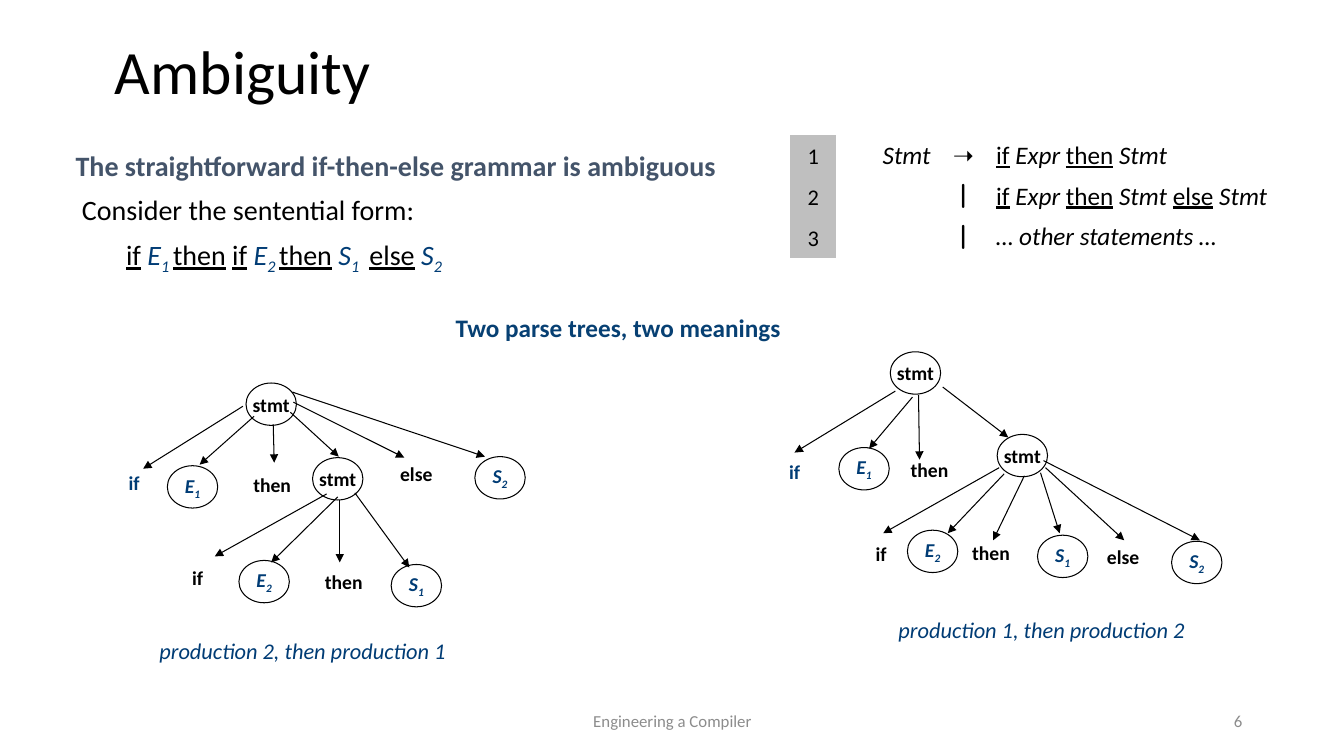
from lxml import etree
from pptx import Presentation
from pptx.dml.color import RGBColor
from pptx.enum.shapes import MSO_CONNECTOR, MSO_SHAPE
from pptx.enum.text import MSO_ANCHOR, MSO_AUTO_SIZE, PP_ALIGN
from pptx.oxml.ns import qn
from pptx.util import Inches, Pt

LEFT, CENTER, RIGHT = PP_ALIGN.LEFT, PP_ALIGN.CENTER, PP_ALIGN.RIGHT
MIDDLE, BOTTOM = MSO_ANCHOR.MIDDLE, MSO_ANCHOR.BOTTOM
NO_FIT = MSO_AUTO_SIZE.NONE
ELLIPSE, STRAIGHT = MSO_SHAPE.OVAL, MSO_CONNECTOR.STRAIGHT
COLORS = {"black": "000000", "navy": "003C75", "slate": "44546A",
          "teal": "074073", "gray": "8C8C8C", "band": "BFBFBF"}
CELL = Inches(0.1)  # the grid has ten cells to the inch
NODE = (5, 4.2)
NO_TABLE_STYLE = "{2D5ABB26-0587-4C30-8999-92F81FD0307C}"

# Run marks: u underline, i italic, s subscript, n navy
IF, THEN, ELSE, GAP = ("if", "u"), ("then", "u"), ("else", "u"), (" ", "")
EXPR, STMT = ("Expr ", "i"), ("Stmt", "i")
SENTENCE = [IF, GAP, ("E", "in"), ("1 ", "ins"), THEN, GAP,
            IF, GAP, ("E", "in"), ("2 ", "ins"), THEN, GAP,
            ("S", "in"), ("1 ", "ins"), GAP, ELSE, GAP,
            ("S", "in"), ("2", "ins")]
SHORT_IF = [IF, GAP, EXPR, THEN, GAP, STMT]
GRAMMAR = [("1", [STMT], "➝", SHORT_IF),
           ("2", "", "|", SHORT_IF + [GAP, ELSE, GAP, STMT]),
           ("3", "", "|", [("… other statements …", "i")])]

# Trees: nodes are (label, left, top), arrows are (x1, y1, x2, y2), in cells
LEFT_TREE = {
    "caption": ("production 2, then production 1", 14.4, 62.7, 31.2, 3.7),
    "if": (10.4, 46.2),
    "nodes": [("stmt", 24.4, 38), ("E1", 16.6, 46.2), ("then", 24.5, 46),
              ("stmt", 31, 45.4), ("else", 38.8, 44.9), ("S2", 47.1, 45.3),
              ("if", 17.1, 55.2), ("E2", 23.7, 55.6), ("then", 31.6, 55.6),
              ("S1", 38.8, 56)],
    "arrows": [(24.1, 40.3, 14.2, 46.5), (25.2, 41.3, 19.8, 46.1),
               (27.1, 42.1, 27.2, 45.9), (28.8, 40.9, 33.6, 45.3),
               (29.1, 39.9, 40.1, 45.4), (29, 38.9, 48.1, 45.3),
               (32.4, 49, 21.3, 55.2), (33.5, 49.3, 26.9, 55.8),
               (33.7, 49.6, 33.7, 55.8), (35.2, 48.9, 40.6, 56.3)]}
RIGHT_TREE = {
    "caption": ("production 1, then production 2", 85.4, 60.6, 35.8, 3.7),
    "if": (75.9, 45.1),
    "nodes": [("stmt", 88.3, 34.9), ("E1", 83.2, 44.4), ("then", 89.7, 44.5),
              ("stmt", 98.9, 43.1), ("if", 84.9, 52.8), ("E2", 90, 52.6),
              ("then", 95.8, 52.7), ("S1", 102.9, 53.1),
              ("else", 108.9, 53.1), ("S2", 116.2, 53.7)],
    "arrows": [(88.8, 38.8, 78.8, 44.9), (90.5, 39.4, 86.2, 44.5),
               (91.1, 39.2, 91.2, 45.6), (93.5, 38.4, 100, 43.4),
               (99.1, 46.4, 87.6, 52.9), (99.6, 47, 94, 52.9),
               (101.6, 47.2, 98.5, 53.6), (103.2, 46.9, 105.1, 52.9),
               (103.7, 46.4, 111.5, 53.6), (103.5, 45.7, 119, 53.6)]}


def grid(*cells):
    return [int(n * CELL) for n in cells]


def rgb(name):
    return RGBColor.from_string(COLORS[name])


def write(p, runs, size=18, color="black", bold=False, italic=False,
          align=LEFT, font="Calibri"):
    """Fill a paragraph from a string or from (text, marks) runs."""
    p.alignment = align
    for text, marks in [(runs, "")] if isinstance(runs, str) else runs:
        r = p.add_run()
        r.text = text
        f = r.font
        f.name, f.size, f.bold = font, Pt(size), bold
        f.italic = italic or "i" in marks
        f.underline = "u" in marks
        f.color.rgb = rgb("navy" if "n" in marks else color)
        if "s" in marks:
            r._r.get_or_add_rPr().set("baseline", "-25000")


def add_text(shapes, text, x, y, w, h, **fmt):
    tf = shapes.add_textbox(*grid(x, y, w, h)).text_frame
    tf.word_wrap, tf.vertical_anchor = True, MIDDLE
    write(tf.paragraphs[0], text, **fmt)


def add_node(shapes, label, x, y):
    sp = shapes.add_shape(ELLIPSE, *grid(x, y, *NODE))
    sp.shadow.inherit = False
    sp.fill.background()
    if label in ("if", "then", "else"):
        sp.line.fill.background()
    else:
        sp.line.color.rgb, sp.line.width = rgb("black"), Pt(0.75)
    tf = sp.text_frame
    tf.word_wrap, tf.vertical_anchor = False, MIDDLE
    symbol = label[-1].isdigit()
    runs = [(label[0], "in"), (label[1], "ins")] if symbol else label
    write(tf.paragraphs[0], runs, size=14, bold=True, align=CENTER)


def add_arrow(shapes, *ends):
    c = shapes.add_connector(STRAIGHT, *grid(*ends))
    c.line.color.rgb, c.line.width = rgb("black"), Pt(0.75)
    spPr = c._element.spPr
    etree.SubElement(spPr.find(qn("a:ln")), qn("a:tailEnd"), type="triangle")
    etree.SubElement(spPr, qn("a:effectLst"))


def add_tree(s, tree):
    shapes = s.shapes.add_group_shape().shapes
    for arrow in tree["arrows"]:
        add_arrow(shapes, *arrow)
    for node in tree["nodes"]:
        add_node(shapes, *node)
    add_text(shapes, "if", *tree["if"], 5.8, 3.3, size=14, color="navy",
             bold=True, align=CENTER)
    add_text(shapes, *tree["caption"], size=16, color="navy", italic=True,
             align=CENTER)


def add_grammar(s):
    table = s.shapes.add_table(3, 4, *grid(78.4, 13.4, 54.2, 12)).table
    table._tbl.tblPr.find(qn("a:tableStyleId")).text = NO_TABLE_STYLE
    table.first_row = table.horz_banding = False
    for column, width in zip(table.columns, grid(4.5, 10.4, 4.5, 34.8)):
        column.width = width
    for i, (number, head, symbol, body) in enumerate(GRAMMAR):
        bar_font = "Comic Neue" if symbol == "|" else "Calibri"
        formats = [(number, dict(size=16, align=CENTER)),
                   (head, dict(align=RIGHT)),
                   (symbol, dict(bold=True, align=CENTER, font=bar_font)),
                   (body, {})]
        for j, (runs, fmt) in enumerate(formats):
            cell = table.cell(i, j)
            cell.vertical_anchor = MIDDLE if j else BOTTOM
            if j:
                cell.fill.background()
            else:
                cell.fill.solid()
                cell.fill.fore_color.rgb = rgb("band")
            write(cell.text_frame.paragraphs[0], runs, **fmt)


def place(sp, *cells):
    sp.left, sp.top, sp.width, sp.height = grid(*cells)
    sp.text_frame.auto_size = NO_FIT
    return sp.text_frame


def add_body(s):
    tf = place(s.placeholders[1], 6.5, 14.6, 104.4, 49.5)
    # text, level, left margin in inches, space before in points, format
    lines = [("The straightforward if-then-else grammar is ambiguous", 0,
              0.25, 0, dict(color="slate", bold=True)),
             (" Consider the sentential form:", 0, 0.25, 10, {}),
             (SENTENCE, 1, 0.75, 8, {})]
    for i, (runs, level, margin, before, fmt) in enumerate(lines):
        p = tf.add_paragraph() if i else tf.paragraphs[0]
        write(p, runs, size=20, **fmt)
        p.level, p.line_spacing, p.space_before = level, 0.9, Pt(before)
        pPr = p._p.get_or_add_pPr()
        pPr.set("marL", str(Inches(margin)))
        pPr.set("indent", str(-Inches(0.25)))
        etree.SubElement(pPr, qn("a:buNone"))


def main():
    prs = Presentation()
    prs.slide_width, prs.slide_height = Inches(13.33), Inches(7.5)
    s = prs.slides.add_slide(prs.slide_layouts[1])

    # Title and statement
    tf = place(s.shapes.title, 10.4, 0.1, 115, 14.5)
    tf.vertical_anchor = MIDDLE
    write(tf.paragraphs[0], "Ambiguity", size=44)
    tf.paragraphs[0].line_spacing = 0.9
    add_body(s)
    add_grammar(s)

    # Parse trees
    add_text(s.shapes, "Two parse trees, two meanings", 44.2, 30.5, 34.3, 4,
             color="teal", bold=True)
    for tree in (LEFT_TREE, RIGHT_TREE):
        add_tree(s, tree)

    # Footer
    add_text(s.shapes, "Engineering a Compiler", 44.2, 69.5, 45, 4,
             size=12, color="gray", align=CENTER)
    add_text(s.shapes, "6", 94.2, 69.5, 30, 4,
             size=12, color="gray", align=RIGHT)
    prs.save("out.pptx")


if __name__ == "__main__":
    main()
